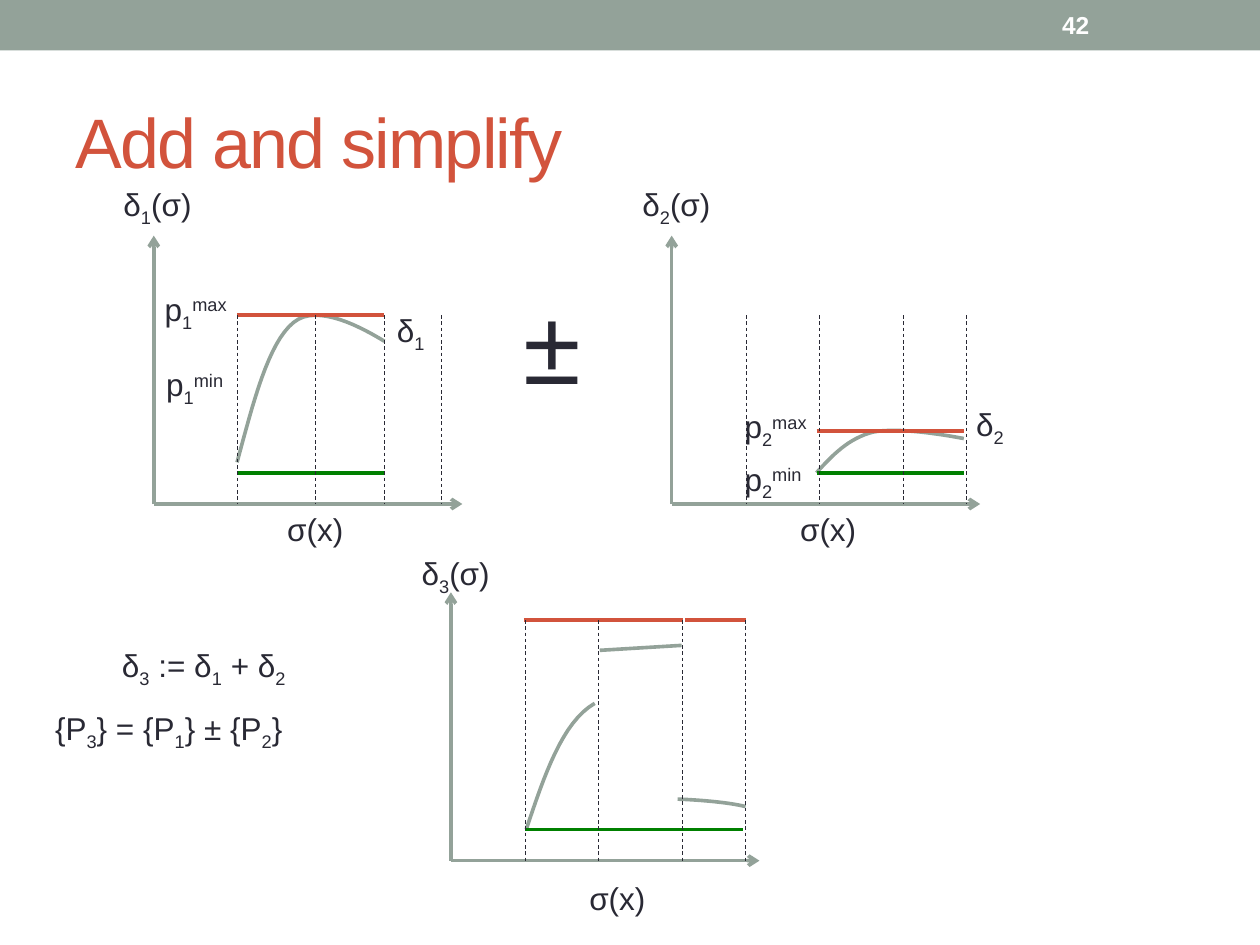
from dataclasses import dataclass
from lxml.etree import SubElement
from pptx import Presentation
from pptx.dml.color import RGBColor
from pptx.enum.dml import MSO_LINE_DASH_STYLE as Dash
from pptx.enum.shapes import MSO_CONNECTOR as Connector, MSO_SHAPE as Preset
from pptx.enum.text import MSO_ANCHOR as Anchor, MSO_AUTO_SIZE as AutoSize
from pptx.oxml.ns import qn
from pptx.util import Cm, Pt

COLORS = {"sage": "93A299", "red": "D2533C", "green": "008000",
          "ink": "292934", "white": "FFFFFF"}
BASELINES = {"_": "-25000", "^": "30000"}
CURVE_STEPS = 16


@dataclass
class Box:
    left: float
    top: float
    width: float
    height: float

    def inner(self, left, top, width, height):
        return Box(self.left + left, self.top + top, width, height)

    def lengths(self):
        return [Cm(value) for value in (self.left, self.top, self.width, self.height)]


def color(name):
    return RGBColor.from_string(COLORS[name])


def add_text(page, box, text, size=18, ink="ink", bold=False, spacing=None,
             anchor=Anchor.TOP, wrap=False):
    frame = page.shapes.add_textbox(*box.lengths()).text_frame
    frame.word_wrap = wrap
    frame.auto_size = AutoSize.NONE if wrap else AutoSize.SHAPE_TO_FIT_TEXT
    frame.vertical_anchor = anchor
    para = frame.paragraphs[0]
    for part in text.split("|"):
        span = para.add_run()
        span.text = part.lstrip("_^")
        span.font.name = "Arial"
        span.font.size = Pt(size)
        span.font.bold = bold
        span.font.color.rgb = color(ink)
        properties = span._r.get_or_add_rPr()
        if part[0] in BASELINES:
            properties.set("baseline", BASELINES[part[0]])
        if spacing is not None:
            properties.set("spc", str(spacing))


def add_line(page, box, start, end, ink, width=2.08, dashed=False, arrow=False):
    points = [Cm(value) for x, y in (start, end) for value in (box.left + x, box.top + y)]
    line = page.shapes.add_connector(Connector.STRAIGHT, *points)
    line.line.color.rgb = color(ink)
    line.line.width = Pt(width)
    if dashed:
        line.line.dash_style = Dash.DASH
    if arrow:
        SubElement(line.line._get_or_add_ln(), qn("a:tailEnd"), type="arrow")
    SubElement(line._element.spPr, qn("a:effectLst"))


def bezier(a, b, c, d):
    for step in range(1, CURVE_STEPS + 1):
        t = step / CURVE_STEPS
        u = 1 - t
        yield tuple(u**3 * p + 3 * u * u * t * q + 3 * u * t * t * r + t**3 * s
                    for p, q, r, s in zip(a, b, c, d))


def add_curve(page, box, knots):
    points = [knots[0]]
    for first in range(0, len(knots) - 1, 3):
        points += bezier(*knots[first:first + 4])
    placed = [(Cm(box.left + x), Cm(box.top + y)) for x, y in points]
    builder = page.shapes.build_freeform(*placed[0], scale=1.0)
    builder.add_line_segments(placed[1:], close=False)
    curve = builder.convert_to_shape()
    curve.shadow.inherit = False
    curve.fill.background()
    curve.line.color.rgb = color("sage")
    curve.line.width = Pt(2.08)


def add_plot(page, box, guides, guide_top, maxima, minima, curves, labels, segments=()):
    corner = (0, box.height)
    add_line(page, box, corner, (0, 0), "sage", arrow=True)
    add_line(page, box, corner, (box.width, box.height), "sage", arrow=True)
    for knots in curves:
        add_curve(page, box, knots)
    for start, end in segments:
        add_line(page, box, start, end, "sage")
    for ink, (level, spans) in (("red", maxima), ("green", minima)):
        for left, right in spans:
            add_line(page, box, (left, level), (right, level), ink)
    for x in guides:
        add_line(page, box, (x, guide_top), (x, box.height), "ink", 0.5, dashed=True)
    for text, left, top, width in labels:
        add_text(page, box.inner(left, top, width, 1.02), text)


def add_header(page, box):
    band = page.shapes.add_shape(Preset.RECTANGLE, *box.lengths())
    band.shadow.inherit = False
    band.fill.solid()
    band.fill.fore_color.rgb = color("sage")
    band.line.fill.background()
    add_text(page, box.inner(21.16, 0.05, 2.97, 0.91), "42", size=14, ink="white",
             bold=True, anchor=Anchor.MIDDLE, wrap=True)


def add_title(page, box):
    add_text(page, box, "Add and simplify", size=40, ink="red", spacing=-100,
             anchor=Anchor.MIDDLE, wrap=True)


def add_formulas(page, box):
    add_text(page, box.inner(1.35, 0, 3.94, 1.02), "δ|_3| := δ|_1| + δ|_2")
    add_text(page, box.inner(0, 1.27, 5.38, 1.02), "{P|_3|} = {P|_1|} ± {P|_2|}")


def main():
    deck = Presentation()
    deck.slide_width, deck.slide_height = Cm(25.4), Cm(19.05)
    page = deck.slides.add_slide(deck.slide_layouts[6])
    add_header(page, Box(0, 0, 25.4, 1.02))
    add_title(page, Box(1.27, 1.47, 22.86, 2.74))

    shared_guides = (1.5, 2.97, 4.67, 5.94)
    add_plot(
        page, Box(3.1, 4.75, 6.22, 5.41), (1.68, 3.25, 4.65, 5.79), 1.6,
        maxima=(1.6, [(1.68, 4.65)]), minima=(4.78, [(1.68, 4.65)]),
        curves=[[(1.68, 4.57), (2.01, 3.35), (2.31, 2.16), (2.82, 1.75),
                 (3.3, 1.35), (4.24, 1.88), (4.65, 2.13)]],
        labels=[("δ|_1|(σ)", -0.86, -1.14, 1.93), ("σ(x)", 2.44, 5.41, 1.65),
                ("δ|_1", 4.65, 1.4, 1.12), ("p|_1|^max", -0.03, 0.97, 1.9),
                ("p|_1|^min", 0, 2.49, 1.8)])
    add_plot(
        page, Box(13.54, 4.75, 6.22, 5.41), shared_guides, 1.6,
        maxima=(3.94, [(2.92, 5.89)]), minima=(4.78, [(2.92, 5.89)]),
        curves=[[(2.92, 4.78), (3.25, 4.42), (3.56, 4.09), (4.06, 3.96),
                 (4.55, 3.86), (5.46, 4.01), (5.89, 4.09)]],
        labels=[("δ|_2|(σ)", -0.84, -1.14, 1.93), ("σ(x)", 2.34, 5.41, 1.65),
                ("δ|_2", 5.89, 3.3, 1.12), ("p|_2|^max", 1.22, 3.33, 1.9),
                ("p|_2|^min", 1.22, 4.39, 1.8)])
    add_text(page, Box(10.31, 5.51, 1.68, 2.82), "±", size=60)
    add_plot(
        page, Box(9.09, 11.94, 6.22, 5.41), shared_guides, 0.56,
        maxima=(0.56, [(1.47, 3), (2.92, 4.67), (4.72, 5.94)]),
        minima=(4.78, [(1.5, 2.97), (2.97, 4.67), (4.67, 5.89)]),
        curves=[[(1.52, 4.78), (1.88, 3.71), (2.24, 2.62), (2.9, 2.24)],
                [(4.57, 4.17), (5.08, 4.19), (5.61, 4.24), (5.94, 4.32)]],
        segments=[((3, 1.17), (4.65, 1.07))],
        labels=[("δ|_3|(σ)", -0.84, -0.89, 1.93), ("σ(x)", 2.54, 5.66, 1.65)])
    add_formulas(page, Box(0.86, 12.9, 5.38, 2.29))
    deck.save("out.pptx")


if __name__ == "__main__":
    main()
